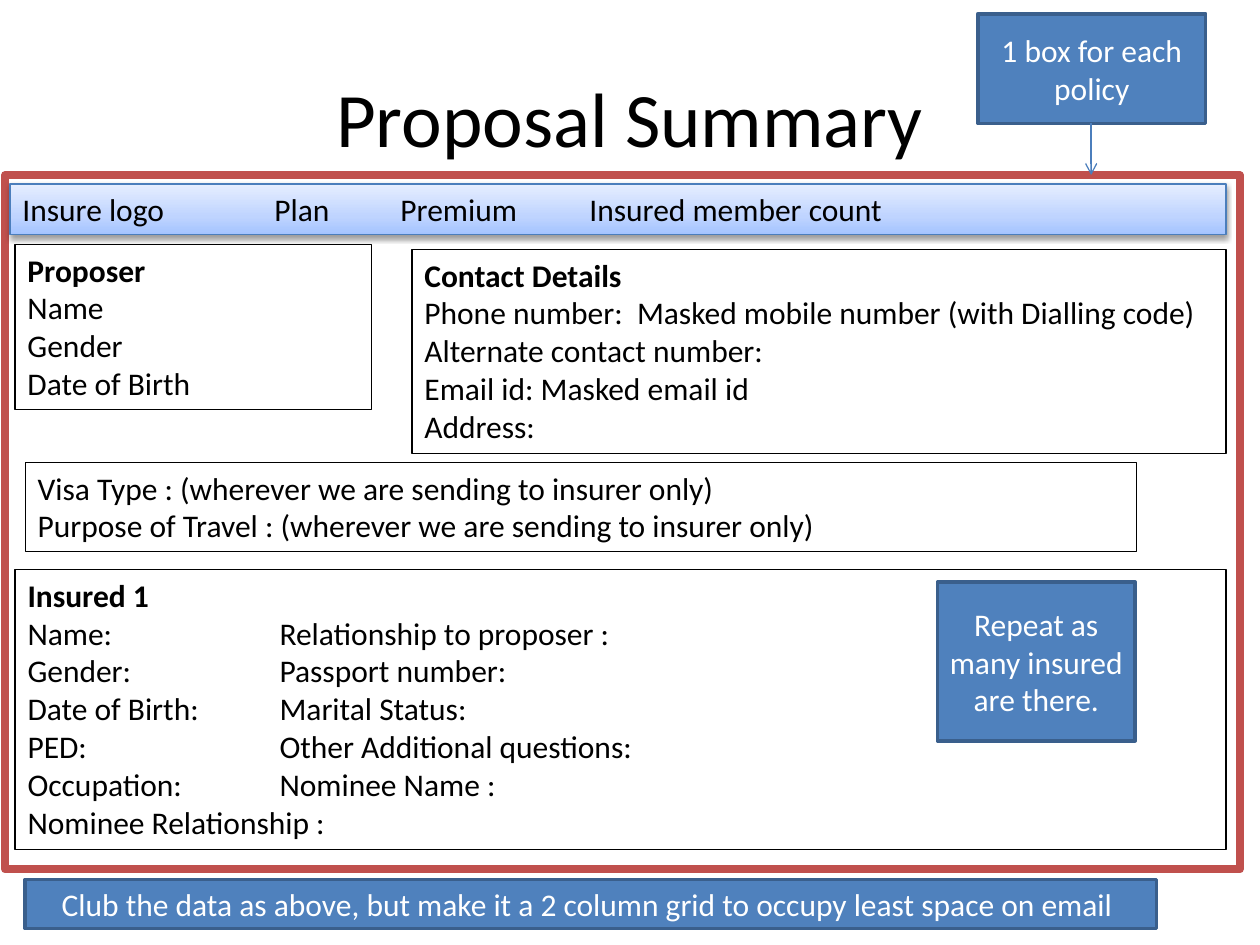
from lxml.etree import SubElement
from pptx import Presentation
from pptx.dml.color import RGBColor
from pptx.enum.shapes import MSO_CONNECTOR, MSO_SHAPE
from pptx.enum.text import MSO_ANCHOR, PP_ALIGN
from pptx.oxml import parse_xml
from pptx.oxml.ns import nsdecls, qn
from pptx.util import Inches, Pt

COLORS = {
    "paper": "FFFFFF", "ink": "000000", "frame": "C0504D", "note": "4F81BD",
    "note_edge": "3A5F8C", "accent": "4B7EBC",
    "bar_low": "A4C4FF", "bar_mid": "BFD4FF", "bar_high": "E6EEFF",
}
FONT = "Calibri"
COLS, ROWS = 100, 75
CELL = Inches(10) // COLS


def rgb(name):
    return RGBColor.from_string(COLORS[name])


def grid(*cells):
    return [round(c * CELL) for c in cells]


def write(s, lines, color="ink", size=18, align=PP_ALIGN.LEFT,
          anchor=MSO_ANCHOR.TOP, heading=False):
    tf = s.text_frame
    tf.word_wrap = True
    tf.vertical_anchor = anchor
    for i, line in enumerate(lines):
        p = tf.paragraphs[0] if i == 0 else tf.add_paragraph()
        p.alignment = align
        r = p.add_run()
        r.text = line
        r.font.name = FONT
        r.font.size = Pt(size)
        r.font.bold = heading and i == 0
        r.font.color.rgb = rgb(color)


def add_box(sp, at, fill, line, width):
    s = sp.add_shape(MSO_SHAPE.RECTANGLE, *grid(*at))
    s.fill.solid()
    s.fill.fore_color.rgb = rgb(fill)
    s.line.color.rgb = rgb(line)
    s.line.width = Pt(width)
    s.shadow.inherit = False
    return s


def add_title(sp, at, text):
    s = sp.add_textbox(*grid(*at))
    write(s, [text], size=44, align=PP_ALIGN.CENTER, anchor=MSO_ANCHOR.MIDDLE)


def add_panel(sp, at, lines, heading=True):
    s = sp.add_textbox(*grid(*at))
    s.line.color.rgb = rgb("ink")
    s.line.width = Pt(0.75)
    write(s, lines, heading=heading)


def add_note(sp, at, text):
    s = add_box(sp, at, "note", "note_edge", 2)
    write(s, [text], "paper", align=PP_ALIGN.CENTER, anchor=MSO_ANCHOR.MIDDLE)


def add_header_bar(sp, at, text):
    s = add_box(sp, at, "bar_mid", "accent", 0.75)
    stops = "".join(
        f'<a:gs pos="{pos * 1000}"><a:srgbClr val="{COLORS[name]}"/></a:gs>'
        for pos, name in ((0, "bar_low"), (35, "bar_mid"), (100, "bar_high")))
    props = s.element.spPr
    props.replace(props.find(qn("a:solidFill")), parse_xml(
        f'<a:gradFill {nsdecls("a")} rotWithShape="1"><a:gsLst>{stops}</a:gsLst>'
        '<a:lin ang="16200000" scaled="1"/></a:gradFill>'))
    props.find(qn("a:effectLst")).append(parse_xml(
        f'<a:outerShdw {nsdecls("a")} blurRad="{Pt(3.1)}" dist="{Pt(1.6)}" '
        f'dir="5400000" rotWithShape="0"><a:srgbClr val="{COLORS["ink"]}">'
        '<a:alpha val="38000"/></a:srgbClr></a:outerShdw>'))
    write(s, [text])


def add_arrow(sp, start, end):
    s = sp.add_connector(MSO_CONNECTOR.STRAIGHT, *grid(*start, *end))
    s.line.color.rgb = rgb("accent")
    s.line.width = Pt(0.75)
    SubElement(s.line._get_or_add_ln(), qn("a:tailEnd")).set("type", "arrow")
    SubElement(s.element.spPr, qn("a:effectLst"))


def main():
    prs = Presentation()
    prs.slide_width, prs.slide_height = grid(COLS, ROWS)
    sp = prs.slides.add_slide(prs.slide_layouts[6]).shapes

    add_box(sp, (0.4, 13.9, 98, 55.1), "paper", "frame", 4.5)
    add_title(sp, (5, 3, 90, 12.5), "Proposal Summary")
    add_header_bar(sp, (0.8, 14.6, 96.5, 4),
                   "Insure logo\t\tPlan\t\tPremium \t\tInsured member count")
    add_panel(sp, (1.2, 45.2, 96.1, 22.2), [
        "Insured 1 ",
        "Name: \t\t\tRelationship to proposer : ",
        "Gender: \t\t\tPassport number: ",
        "Date of Birth: \t\tMarital Status: ",
        "PED: \t\t\tOther Additional questions: ",
        "Occupation: \t\tNominee Name : ",
        "Nominee Relationship : ",
    ])
    add_panel(sp, (1.2, 19.4, 28.3, 13.1),
              ["Proposer ", "Name", "Gender ", "Date of Birth"])
    add_panel(sp, (2, 36.7, 88.2, 7.1), [
        "Visa Type : (wherever we are sending to insurer only)",
        "Purpose of Travel : (wherever we are sending to insurer only) ",
    ], heading=False)
    add_panel(sp, (32.7, 19.8, 64.6, 16.2), [
        "Contact Details ",
        "Phone number:  Masked mobile number (with Dialling code)",
        "Alternate contact number:",
        "Email id: Masked email id",
        "Address:  ",
    ])
    add_note(sp, (74.4, 46.2, 15.7, 12.6), "Repeat as many insured  are there. ")
    add_note(sp, (77.6, 1.1, 18.1, 8.7), "1 box for each policy")
    add_arrow(sp, (86.6, 9.8), (86.6, 13.9))
    add_note(sp, (2, 69.8, 89.8, 3.9),
             "Club the data as above, but make it a 2 column grid "
             "to occupy least space on email ")
    prs.save("out.pptx")


main()
